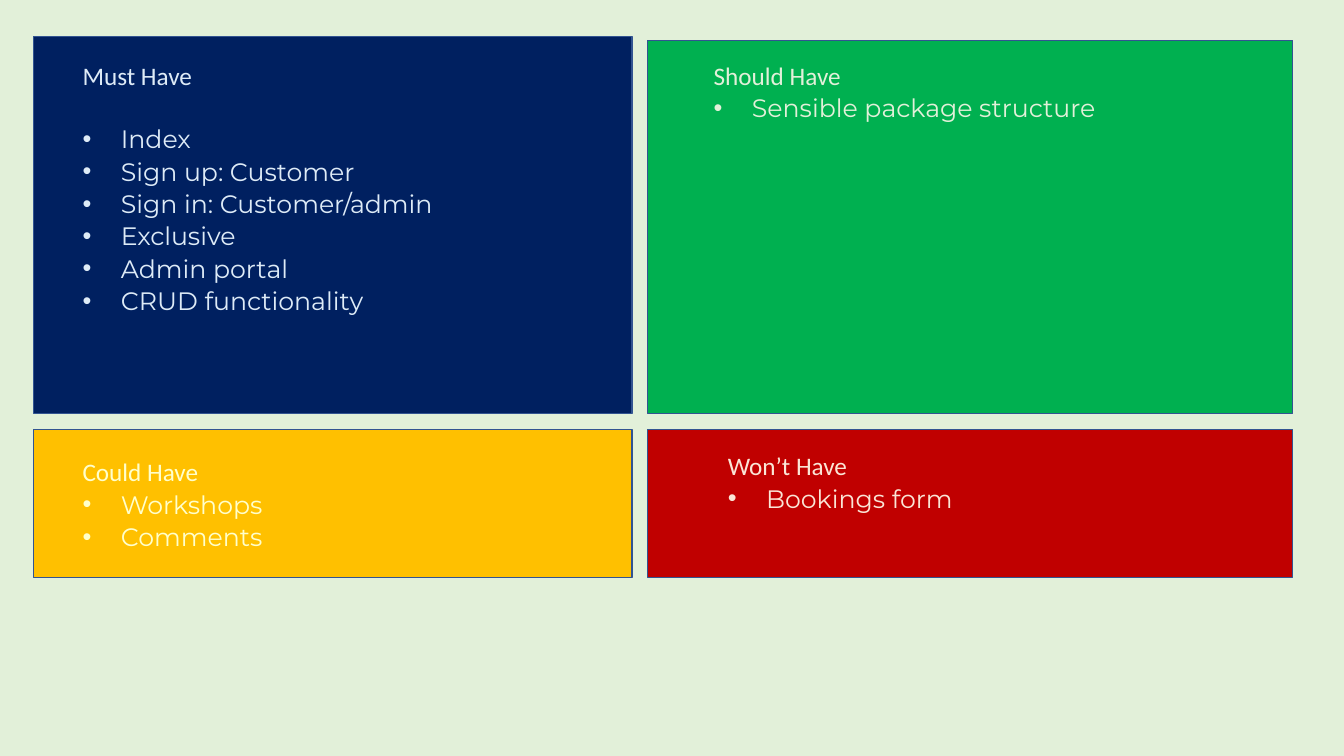
from lxml import etree
from pptx import Presentation
from pptx import util as u
from pptx.dml.color import RGBColor
from pptx.enum import shapes, text
from pptx.oxml.ns import qn

COLORS = {
    "page": "E2F0D9", "edge": "325491",
    "navy": "002060", "green": "00B050", "amber": "FFC000", "red": "C00000",
    "ice": "DEEBF7", "mint": "E2F0D9", "cream": "FFFFCC", "peach": "FBE5D6",
}

# title, items, gap below title (pt), fill, ink, panel box, text box
PANELS = [
    ("Must Have",
     ["Index", "Sign up: Customer", "Sign in: Customer/admin", "Exclusive",
      "Admin portal", "CRUD functionality"],
     22, "navy", "ice", (33, 36, 594, 374), (72, 55, 539, 295)),
    ("Should Have", ["Sensible package structure"],
     0, "green", "mint", (642, 40, 640, 370), (698, 55, 598, 104)),
    ("Could Have", ["Workshops", "Comments"],
     0, "amber", "cream", (33, 426, 594, 147), (72, 448, 539, 103)),
    ("Won’t Have", ["Bookings form"],
     0, "red", "peach", (642, 426, 640, 147), (712, 442, 356, 114)),
]
INDENT = 38


def px(n):
    return u.Inches(n / 100)


def rgb(name):
    return RGBColor.from_string(COLORS[name])


def style(para, face, ink):
    para.font.name = face
    para.font.size = u.Pt(18)
    para.font.color.rgb = rgb(ink)


def bullet(para):
    """Give the paragraph a hanging round bullet."""
    para.line_spacing = 1.07
    props = para._p.get_or_add_pPr()
    props.set("marL", str(px(INDENT)))
    props.set("indent", str(-px(INDENT)))
    etree.SubElement(props, qn("a:buFont")).set("typeface", "Arial")
    etree.SubElement(props, qn("a:buChar")).set("char", "•")


def panel(slide, fill, box):
    rect = slide.shapes.add_shape(shapes.MSO_SHAPE.RECTANGLE, *map(px, box))
    rect.shadow.inherit = False
    rect.fill.solid()
    rect.fill.fore_color.rgb = rgb(fill)
    rect.line.color.rgb = rgb("edge")
    rect.line.width = u.Pt(1)


def notes(slide, title, items, gap, ink, box):
    """Write the panel's title and its bulleted items."""
    frame = slide.shapes.add_textbox(*map(px, box)).text_frame
    frame.word_wrap = True
    frame.auto_size = text.MSO_AUTO_SIZE.SHAPE_TO_FIT_TEXT
    head = frame.paragraphs[0]
    head.text = title
    head.space_after = u.Pt(gap)
    style(head, "Calibri", ink)
    for item in items:
        para = frame.add_paragraph()
        para.text = item
        bullet(para)
        style(para, "Montserrat", ink)


def main():
    deck = Presentation()
    deck.slide_width, deck.slide_height = px(1333), px(750)
    slide = deck.slides.add_slide(deck.slide_layouts[6])
    slide.background.fill.solid()
    slide.background.fill.fore_color.rgb = rgb("page")
    for title, items, gap, fill, ink, area, box in PANELS:
        panel(slide, fill, area)
        notes(slide, title, items, gap, ink, box)
    deck.save("out.pptx")


if __name__ == "__main__":
    main()
